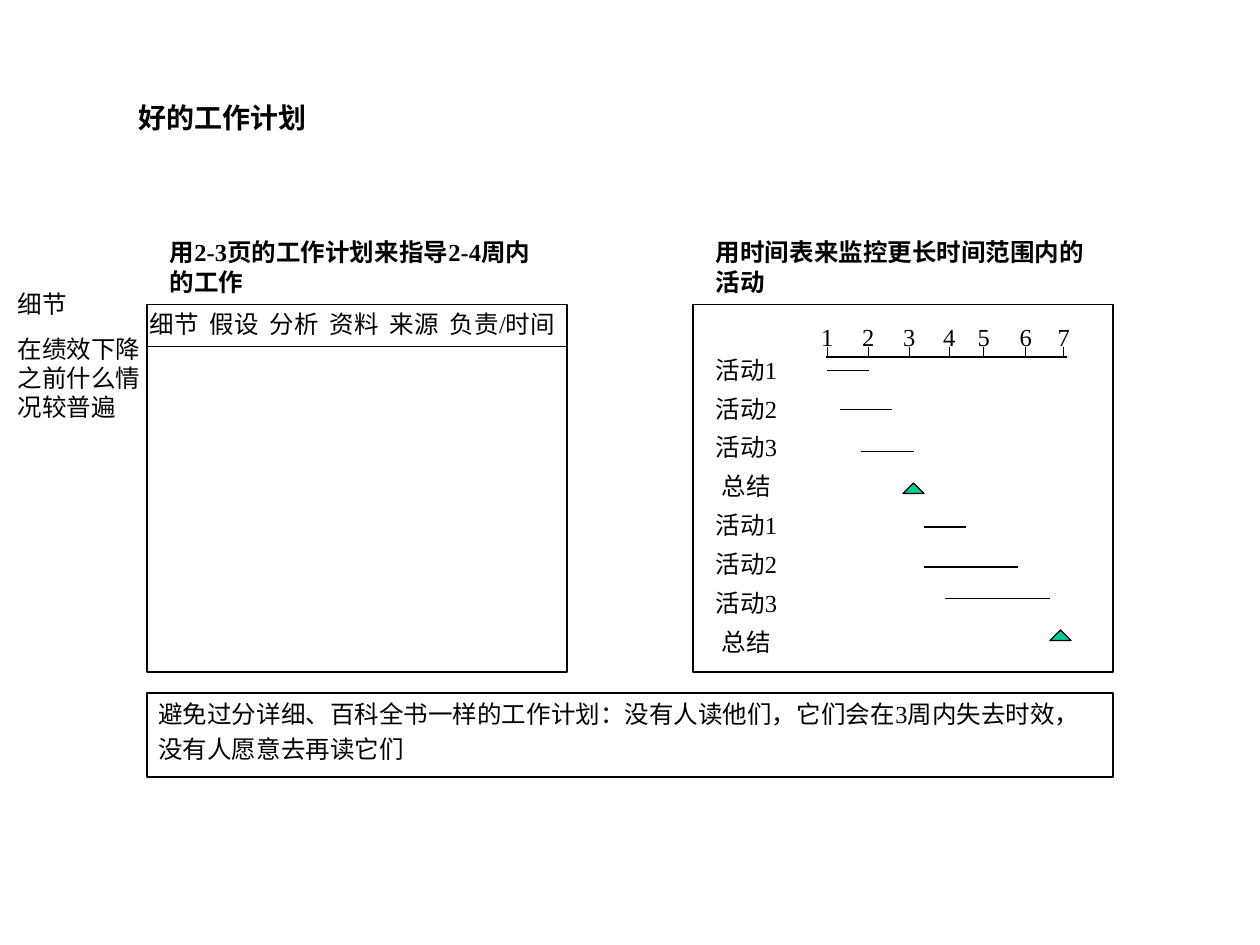
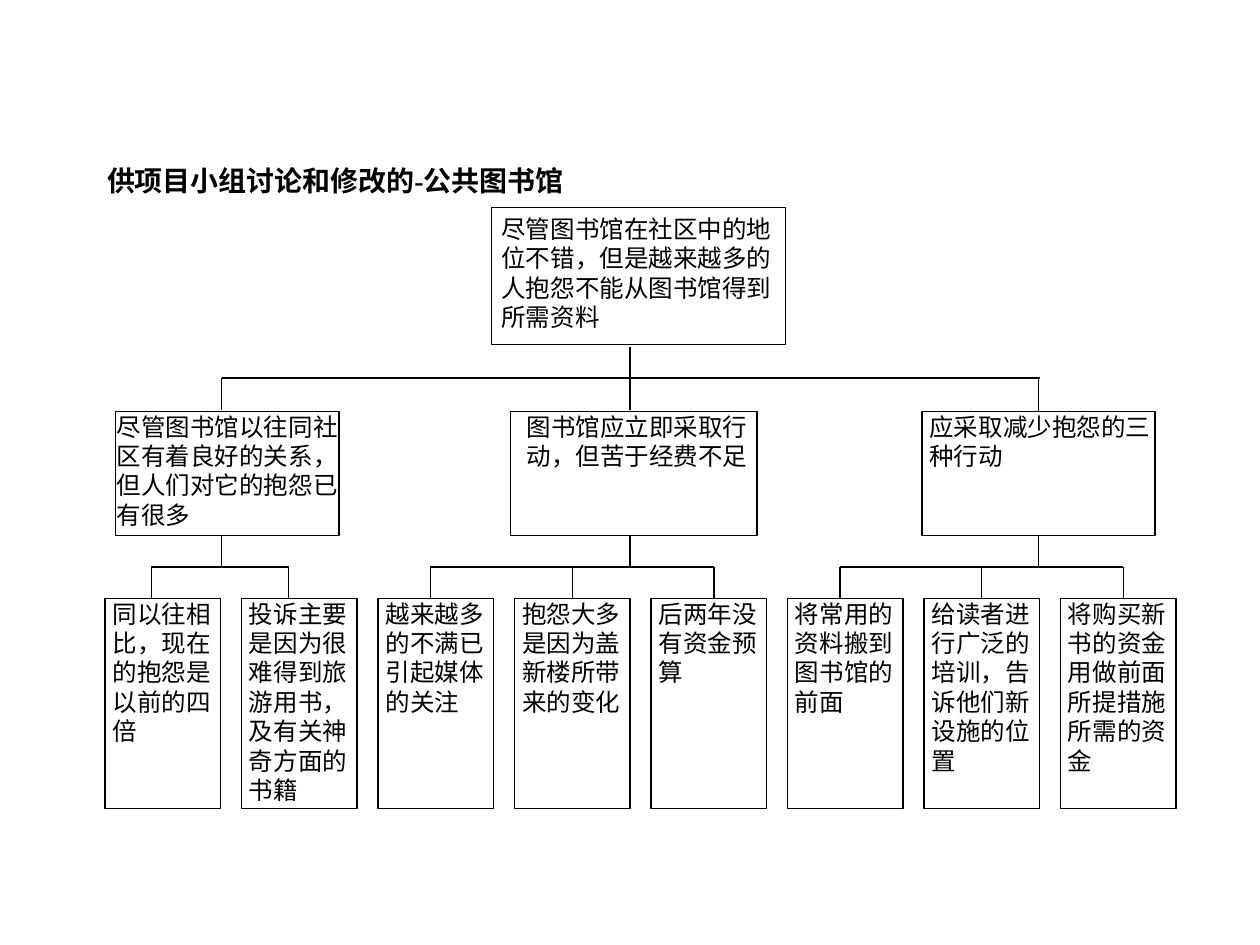
from lxml import etree
from pptx import Presentation
from pptx.dml.color import RGBColor
from pptx.enum.shapes import MSO_CONNECTOR, MSO_SHAPE
from pptx.enum.text import MSO_ANCHOR, MSO_AUTO_SIZE, PP_ALIGN
from pptx.oxml.ns import qn
from pptx.util import Inches, Pt

RECTANGLE, TRIANGLE = MSO_SHAPE.RECTANGLE, MSO_SHAPE.ISOSCELES_TRIANGLE
STRAIGHT = MSO_CONNECTOR.STRAIGHT
TOP, MIDDLE = MSO_ANCHOR.TOP, MSO_ANCHOR.MIDDLE
LEFT, CENTER = PP_ALIGN.LEFT, PP_ALIGN.CENTER
FIXED = MSO_AUTO_SIZE.NONE
TOP_SIDE, BOTTOM_SIDE = 0, 2

COLORS = {"ink": "000000", "marker": "00CC99"}
FONT = "Times New Roman"
COLUMNS, ROWS = 120, 90
CELL = Inches(10) / COLUMNS
TITLE_SIZE, BODY_SIZE, LINE_WIDTH = Pt(16), Pt(14), Pt(0.75)
SPACE_BEFORE = Pt(8.8)
INSETS = (0.1, 0.05, 0.1, 0.05)
SNAP = 0.32

TICKS = (12.8, 16.7, 20.6, 24.4, 27.7, 31.7, 35.3)
ACTIVITIES = ("活动1", "活动2", "活动3", "总结") * 2
ACTIVITY_BARS = ((12.8, 16.8, 6.3), (14, 19, 10), (16, 21, 14),
                 (22, 26, 21.2), (22, 31, 25), (24, 34, 28))
MILESTONES = ((20, 17), (34, 31))
PLAN_COLUMNS = ("细节", "假设", "分析", "资料", "来源", "负责/时间")

ROOT = "尽管图书馆在社区中的地位不错，但是越来越多的人抱怨不能从图书馆得到所需资料"
BRANCHES = (
    {"text": "尽管图书馆以往同社区有着良好的关系，但人们对它的抱怨已有很多",
     "left": 11, "width": 21.3, "inset": 0.01, "stem": 21.1, "drops": (14.4, 27.5),
     "leaves": ("同以往相比，现在的抱怨是以前的四倍",
                "投诉主要是因为很难得到旅游用书，及有关神奇方面的书籍")},
    {"text": "图书馆应立即采取行动，但苦于经费不足",
     "left": 48.6, "width": 23.5, "inset": 0.13, "stem": 60, "drops": (41, 54.2, 68),
     "leaves": ("越来越多的不满已引起媒体的关注",
                "抱怨大多是因为盖新楼所带来的变化",
                "后两年没有资金预算")},
    {"text": "应采取减少抱怨的三种行动",
     "left": 87.8, "width": 22.2, "inset": 0.06, "stem": 99, "drops": (80, 93.2, 107),
     "leaves": ("将常用的资料搬到图书馆的前面",
                "给读者进行广泛的培训，告诉他们新设施的位置",
                "将购买新书的资金用做前面所提措施所需的资金")},
)


def cells(*values):
    """Turn grid counts into lengths."""
    return [round(value * CELL) for value in values]


def set_tabs(para, stops, align):
    """Add tab stops, given in cells, to a paragraph."""
    tab_list = etree.SubElement(para._p.get_or_add_pPr(), qn("a:tabLst"))
    for stop in cells(*stops):
        etree.SubElement(tab_list, qn("a:tab"), pos=str(stop), algn=align)


def write(shape, lines, size=BODY_SIZE, bold=False, align=LEFT, anchor=TOP,
          insets=INSETS, wrap=True, spacing=1.0, tabs=(), tab_align="l"):
    """Fill a shape with formatted paragraphs."""
    frame = shape.text_frame
    frame.text = "\n".join(lines)
    frame.word_wrap, frame.auto_size, frame.vertical_anchor = wrap, FIXED, anchor
    (frame.margin_left, frame.margin_top,
     frame.margin_right, frame.margin_bottom) = map(Inches, insets)
    for index, para in enumerate(frame.paragraphs):
        para.alignment, para.line_spacing = align, spacing
        para.space_before = SPACE_BEFORE if index else Pt(0)
        if tabs:
            set_tabs(para, tabs, tab_align)
        for span in para.runs:
            span.font.name, span.font.size, span.font.bold = FONT, size, bold
            span.font.color.rgb = RGBColor.from_string(COLORS["ink"])


def add_title(page, text, box):
    """Place and format the title placeholder."""
    title = page.shapes.title
    title.left, title.top, title.width, title.height = cells(*box)
    write(title, [text], size=TITLE_SIZE, bold=True)


def add_text(page, lines, box, **style):
    """Add a text box."""
    write(page.shapes.add_textbox(*cells(*box)), lines, **style)


def add_outline(page, box, kind=RECTANGLE, fill=None):
    """Add a thinly outlined shape."""
    shape = page.shapes.add_shape(kind, *cells(*box))
    shape.shadow.inherit = False
    if fill:
        shape.fill.solid()
        shape.fill.fore_color.rgb = RGBColor.from_string(COLORS[fill])
    else:
        shape.fill.background()
    shape.line.color.rgb = RGBColor.from_string(COLORS["ink"])
    shape.line.width = LINE_WIDTH
    return shape


def add_line(page, start_x, start_y, end_x, end_y):
    """Add a thin straight line."""
    line = page.shapes.add_connector(STRAIGHT, *cells(start_x, start_y, end_x, end_y))
    line.line.color.rgb = RGBColor.from_string(COLORS["ink"])
    line.line.width = LINE_WIDTH
    etree.SubElement(line._element.spPr, qn("a:effectLst"))
    return line


def add_drop(page, column, top, bottom, above=None, below=None):
    """Add a vertical line, joined to a box whose centre it meets."""
    box = above or below
    centre = (box.left + box.width / 2) / CELL
    joined = abs(centre - column) < SNAP
    column = centre if joined else column
    line = add_line(page, column, top, column, bottom)
    if joined and above:
        line.begin_connect(above, BOTTOM_SIDE)
    elif joined:
        line.end_connect(below, TOP_SIDE)


def add_panel(page, heading, heading_left, box):
    """Add a framed panel with a bold heading above it."""
    left, top, _, _ = box
    add_text(page, [heading], (left + heading_left, top - 7, 39, 6.8), bold=True)
    add_outline(page, box)


def add_plan(page, box):
    """Add the work plan panel with its column heads."""
    left, top, width, _ = box
    add_panel(page, "用2-3页的工作计划来指导2-4周内的工作", 1, box)
    pitch = width / 7
    add_text(page, ["\t".join(PLAN_COLUMNS)], (left - 0.9, top - 0.2, width + 3, 4.1),
             anchor=MIDDLE, tabs=[pitch * step for step in range(1, len(PLAN_COLUMNS))])
    add_line(page, left, top + 4, left + width, top + 4)


def add_timetable(page, box):
    """Add the timetable panel with its scale, bars and milestones."""
    left, top, _, _ = box
    add_panel(page, "用时间表来监控更长时间范围内的活动", 1, box)
    add_text(page, ACTIVITIES, (left + 0.7, top + 4.7, 8.8, 29.4), align=CENTER,
             anchor=MIDDLE, wrap=False, spacing=0.8)
    scale_left = 12
    numbers = "".join(f"\t{number}" for number in range(1, len(TICKS) + 1))
    add_text(page, [numbers], (left + scale_left, top + 1, 26, 4.1), anchor=MIDDLE,
             insets=(0, 0.05, 0, 0.05), tab_align="ctr",
             tabs=[tick - scale_left for tick in TICKS])
    add_line(page, left + 12.7, top + 5, left + 35.6, top + 5)
    for tick in TICKS:
        add_line(page, left + tick, top + 5, left + tick, top + 4)
    for start, end, row in ACTIVITY_BARS:
        add_line(page, left + start, top + row, left + end, top + row)
    for column, row in MILESTONES:
        add_outline(page, (left + column, top + row, 2, 1), TRIANGLE, "marker")


def build_plan_page(page):
    """Build the slide on good work plans."""
    add_title(page, "好的工作计划", (12, 9, 57, 4.4))
    add_plan(page, (14, 29, 40, 35))
    add_timetable(page, (66, 29, 40, 35))
    add_text(page, ["细节", "在绩效下降之前什么情况较普遍"],
             (0.5, 26.9, 15.6, 13.9), anchor=MIDDLE)
    advice = add_outline(page, (14, 66, 92, 8))
    write(advice, ["避免过分详细、百科全书一样的工作计划：没有人读他们，"
                   "它们会在3周内失去时效，没有人愿意去再读它们"],
          insets=(0.09, 0, 0.18, 0), spacing=1.2)


def add_node(page, text, box, inset, top_inset=0):
    """Add a tree box with its text."""
    node = add_outline(page, box)
    write(node, [text], insets=(inset, top_inset, 0, 0))
    return node


def add_branch(page, branch, first_leaf):
    """Add one branch box, its leaves and the lines between them."""
    node = add_node(page, branch["text"], (branch["left"], 39.2, branch["width"], 11.8),
                    branch["inset"])
    drops = branch["drops"]
    add_drop(page, branch["stem"], 51, 54, above=node)
    add_line(page, drops[0], 54, drops[-1], 54)
    for index, (text, column) in enumerate(zip(branch["leaves"], drops), first_leaf):
        leaf = add_node(page, text, (10 + 13 * index, 57, 11, 20), 0.06)
        add_drop(page, column, 54, 57, below=leaf)
    return node


def build_tree_page(page):
    """Build the slide with the library argument tree."""
    add_title(page, "供项目小组讨论和修改的-公共图书馆", (9, 15, 47, 7.7))
    add_node(page, ROOT, (46.8, 19.8, 28, 13), 0.08, 0.05)
    first_leaf = 0
    for branch in BRANCHES:
        node = add_branch(page, branch, first_leaf)
        add_drop(page, branch["stem"], 36, 39, below=node)
        first_leaf += len(branch["leaves"])
    add_line(page, BRANCHES[0]["stem"], 36, BRANCHES[-1]["stem"], 36)
    add_line(page, 60, 33, 60, 36)


def main():
    """Build and save the deck."""
    deck = Presentation()
    deck.slide_width, deck.slide_height = cells(COLUMNS, ROWS)
    title_only = deck.slide_layouts[5]
    for build_page in (build_plan_page, build_tree_page):
        build_page(deck.slides.add_slide(title_only))
    deck.save("out.pptx")


if __name__ == "__main__":
    main()
